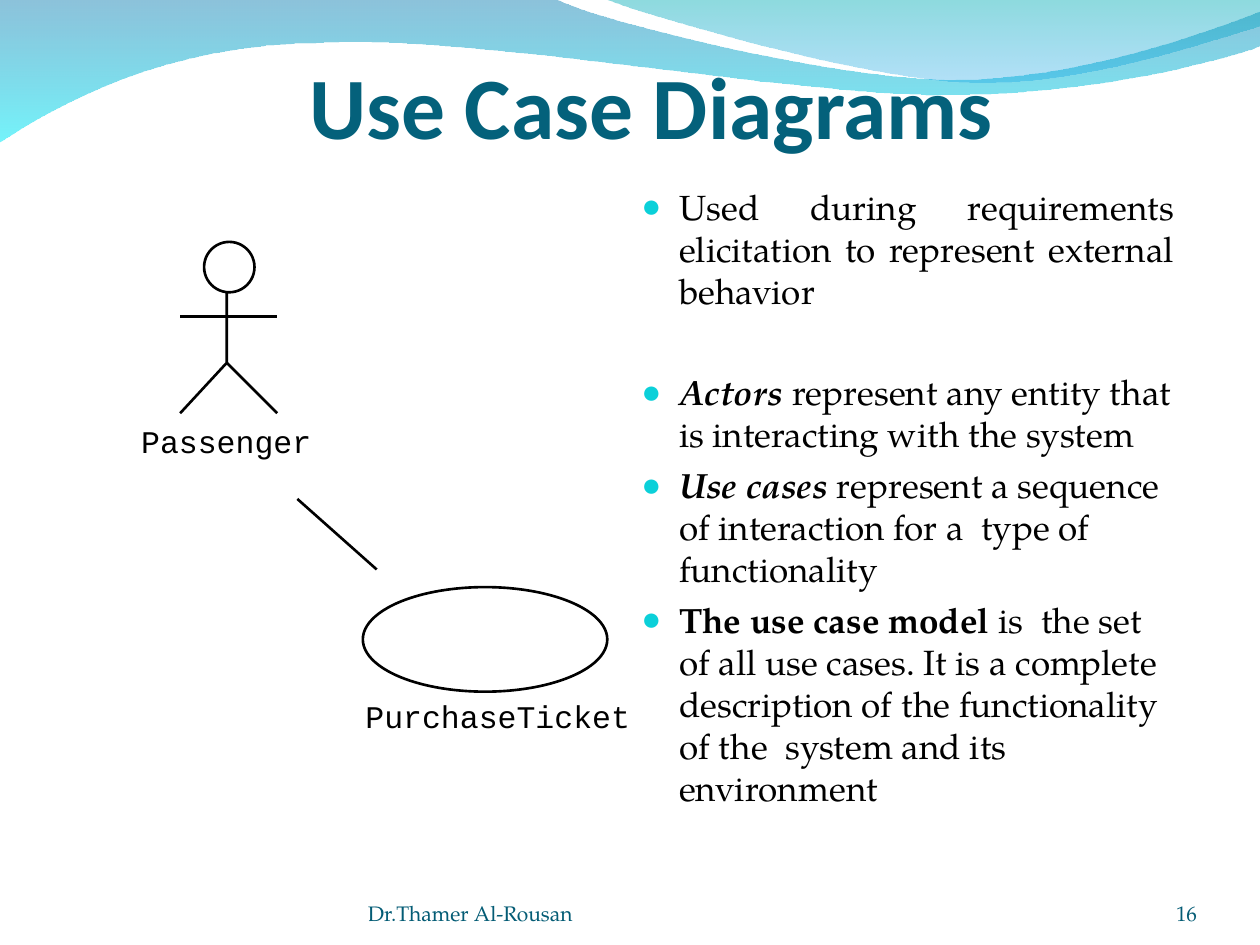
import pptx
import pptx.dml.color
import pptx.enum.shapes
import pptx.enum.text
import pptx.oxml.ns
import pptx.util
from lxml import etree

Inches = pptx.util.Inches
Pt = pptx.util.Pt
ALIGN = pptx.enum.text.PP_ALIGN
ANCHOR = pptx.enum.text.MSO_ANCHOR
qn = pptx.oxml.ns.qn


def color(hex_code):
    return pptx.dml.color.RGBColor.from_string(hex_code)


def write(paragraph, text, font="TeX Gyre Pagella", size=20, ink="000000",
          bold=False, italic=False):
    run = paragraph.add_run()
    run.text = text
    run.font.name = font
    run.font.size = Pt(size)
    run.font.color.rgb = color(ink)
    run.font.bold = bold
    run.font.italic = italic


class DiagramSlide:
    ink = "000000"
    stroke = 1.5
    accent = "0BD0D9"

    def __init__(self, slide):
        self.slide = slide
        self.shapes = slide.shapes
        self.waves = 0

    def start_group(self):
        self.shapes = self.slide.shapes.add_group_shape().shapes

    def end_group(self):
        self.shapes = self.slide.shapes

    def place(self, shape, left, top, width, height):
        shape.left, shape.top = Inches(left), Inches(top)
        shape.width, shape.height = Inches(width), Inches(height)

    def outline(self, shape):
        shape.line.color.rgb = color(self.ink)
        shape.line.width = Pt(self.stroke)

    def freeform(self, points, close=False):
        corners = [(Inches(x), Inches(y)) for x, y in points]
        builder = self.shapes.build_freeform(*corners[0])
        builder.add_line_segments(corners[1:], close=close)
        shape = builder.convert_to_shape()
        shape.shadow.inherit = False
        return shape

    def bend(self, shape, segments):
        straights = list(shape._element.iter(qn("a:lnTo")))
        for straight, (*controls, end) in zip(straights, segments):
            if controls:
                straight.tag = qn("a:cubicBezTo")
                for position, (x, y) in enumerate(controls):
                    point = etree.Element(qn("a:pt"), x=str(Inches(x) - shape.left),
                                          y=str(Inches(y) - shape.top))
                    straight.insert(position, point)

    def wave(self, start, segments, stops):
        shape = self.freeform([start] + [segment[-1] for segment in segments], close=True)
        self.bend(shape, segments)
        shape.line.fill.background()
        shape.fill.gradient()
        shape.fill.gradient_angle = 270
        for stop, (hex_code, opacity) in zip(shape.fill.gradient_stops, stops):
            stop.color.rgb = color(hex_code)
        for tint, (hex_code, opacity) in zip(shape._element.iter(qn("a:srgbClr")), stops):
            etree.SubElement(tint, qn("a:alpha"), val=str(opacity * 1000))
        self.slide.shapes._spTree.insert(2 + self.waves, shape._element)
        self.waves += 1

    def polyline(self, points):
        shape = self.freeform(points)
        shape.fill.background()
        self.outline(shape)

    def line(self, start, end):
        connector = self.shapes.add_connector(
            pptx.enum.shapes.MSO_CONNECTOR.STRAIGHT, *map(Inches, start + end))
        self.outline(connector)
        etree.SubElement(connector._element.spPr, qn("a:effectLst"))

    def ellipse(self, left, top, width, height, fill=None):
        shape = self.shapes.add_shape(pptx.enum.shapes.MSO_SHAPE.OVAL,
                                      *map(Inches, (left, top, width, height)))
        shape.shadow.inherit = False
        if fill:
            shape.fill.solid()
            shape.fill.fore_color.rgb = color(fill)
        else:
            shape.fill.background()
        self.outline(shape)

    def text(self, text, left, top, width, height, align=ALIGN.LEFT,
             anchor=ANCHOR.TOP, wrap=True, **style):
        frame = self.shapes.add_textbox(
            *map(Inches, (left, top, width, height))).text_frame
        frame.margin_left = frame.margin_right = 0
        frame.margin_top = frame.margin_bottom = 0
        frame.word_wrap = wrap
        frame.vertical_anchor = anchor
        frame.paragraphs[0].alignment = align
        write(frame.paragraphs[0], text, **style)

    def label(self, text, left, top, width):
        self.text(text, left, top, width, 0.3, wrap=False, font="Courier New", size=18)

    def footer(self, text, left, width, align=ALIGN.LEFT):
        self.text(text, left, 6.95, width, 0.4, align=align, anchor=ANCHOR.BOTTOM,
                  size=12, ink="045C75")

    def title(self, text):
        heading = self.slide.shapes.title
        self.place(heading, 0.67, 0, 9, 1.25)
        frame = heading.text_frame
        frame.auto_size = pptx.enum.text.MSO_AUTO_SIZE.NONE
        frame.vertical_anchor = ANCHOR.BOTTOM
        frame.margin_left = frame.margin_right = frame.margin_bottom = 0
        frame.margin_top = Inches(0.05)
        frame.paragraphs[0].alignment = ALIGN.CENTER
        write(frame.paragraphs[0], text, font="Calibri", size=50, ink="04617B", bold=True)

    def bullet(self, paragraph):
        properties = paragraph._p.get_or_add_pPr()
        properties.set("marL", str(Inches(0.3)))
        properties.set("indent", str(-Inches(0.3)))
        bullet_color = etree.SubElement(properties, qn("a:buClr"))
        etree.SubElement(bullet_color, qn("a:srgbClr"), val=self.accent)
        etree.SubElement(properties, qn("a:buSzPct"), val="95000")
        etree.SubElement(properties, qn("a:buChar"), char="●")

    def body(self, items):
        definitions = self.slide.placeholders[1]
        self.place(definitions, 4.99, 1.42, 4.43, 5.38)
        frame = definitions.text_frame
        frame.auto_size = pptx.enum.text.MSO_AUTO_SIZE.NONE
        for index, (space, align, runs) in enumerate(items):
            paragraph = frame.add_paragraph() if index else frame.paragraphs[0]
            self.bullet(paragraph)
            paragraph.alignment = align
            paragraph.space_before = Pt(space)
            for text, style in runs:
                write(paragraph, text, **style)


def main():
    deck = pptx.Presentation()
    deck.slide_width, deck.slide_height = Inches(10), Inches(7.5)
    page = DiagramSlide(deck.slides.add_slide(deck.slide_layouts[1]))

    page.wave((0, -0.01), [
        ((4.4, -0.01),),
        ((4.76, 0.17), (6.64, 0.63), (7.58, 0.63)),
        ((8.53, 0.63), (9.58, 0.26), (10, 0.09)),
        ((10.01, 0.36),),
        ((9.83, 0.44), (8.7, 0.76), (7.46, 0.75)),
        ((6.22, 0.75), (3.82, 0.28), (2.57, 0.34)),
        ((1.29, 0.35), (0.46, 0.83), (-0.01, 1.13)),
    ], [("0079AF", 45), ("00EBF8", 55)])
    page.wave((4.79, -0.01), [
        ((5.09, 0.11), (6.82, 0.62), (7.69, 0.65)),
        ((8.56, 0.69), (9.61, 0.32), (10, 0.21)),
        ((10, 0),),
    ], [("00ADB6", 45), ("009BE5", 30)])

    page.title("Use Case Diagrams")
    term = {"bold": True, "italic": True}
    page.body([
        (0, ALIGN.JUSTIFY, [("Used during requirements elicitation to represent "
                             "external behavior", {})]),
        (34, ALIGN.LEFT, [("Actors", term),
                          (" represent any entity that is interacting with the system", {})]),
        (5, ALIGN.LEFT, [("Use cases", term),
                         (" represent a sequence of interaction for a  type of "
                          "functionality", {})]),
        (5, ALIGN.LEFT, [("The use case model ", {"bold": True}),
                         ("is  the set of all use cases. It is a complete description of "
                          "the functionality of the  system and its environment", {})]),
    ])
    page.footer("Dr.Thamer Al-Rousan", 2.92, 3.67)
    page.footer("16", 8.67, 0.83, align=ALIGN.RIGHT)

    page.start_group()
    hip = (1.8, 2.88)
    page.polyline([(1.8, 2.2), hip, (1.43, 3.28)])
    page.line(hip, (2.2, 3.28))
    page.line((1.43, 2.51), (2.2, 2.51))
    page.ellipse(1.62, 1.92, 0.4, 0.4, fill="FFFFFF")
    page.label("Passenger", 1.12, 3.35, 1.35)

    page.start_group()
    page.ellipse(2.88, 4.66, 1.94, 0.83)
    page.label("PurchaseTicket", 2.9, 5.53, 2.1)
    page.end_group()
    page.line((2.36, 3.96), (2.99, 4.52))

    deck.save("out.pptx")


if __name__ == "__main__":
    main()
